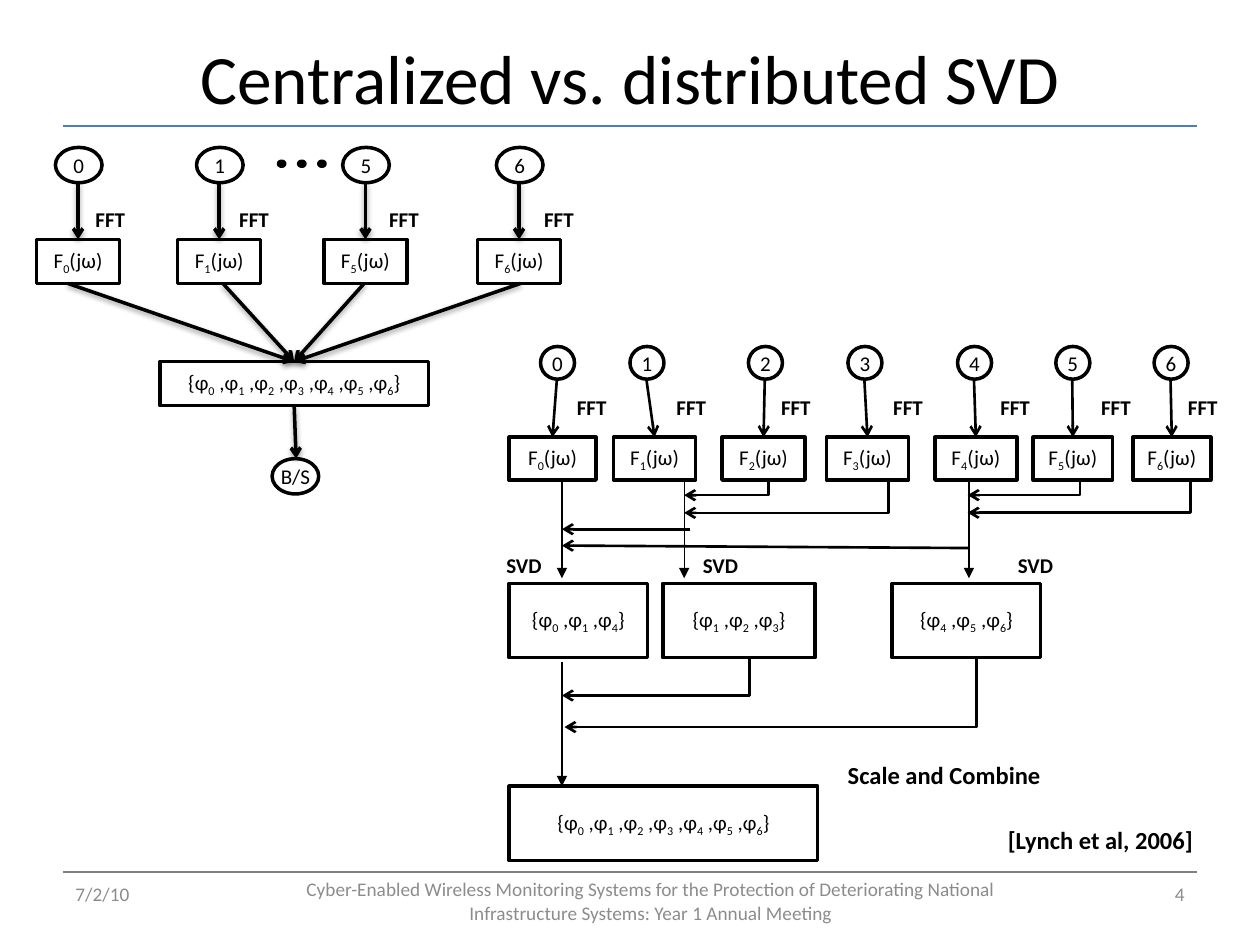
from dataclasses import dataclass
from lxml import etree
from pptx import Presentation
from pptx.dml.color import RGBColor
from pptx.enum import shapes, text
from pptx.oxml.ns import qn
from pptx.util import Inches, Pt


@dataclass(frozen=True)
class Theme:
    font: str = "Calibri"
    black: RGBColor = RGBColor(0, 0, 0)
    blue: RGBColor = RGBColor(0x4B, 0x7E, 0xBC)
    rule: RGBColor = RGBColor(0x80, 0x80, 0x80)
    grey: RGBColor = RGBColor(0x8C, 0x8C, 0x8C)
    title: float = 39.6
    note: float = 14
    body: float = 12
    footer: float = 11


T = Theme()
CENTER, LEFT, RIGHT = text.PP_ALIGN.CENTER, text.PP_ALIGN.LEFT, text.PP_ALIGN.RIGHT
MIDDLE, TOP = text.MSO_ANCHOR.MIDDLE, text.MSO_ANCHOR.TOP
OVAL, RECT = shapes.MSO_SHAPE.OVAL, shapes.MSO_SHAPE.RECTANGLE

prs = Presentation()
prs.slide_width, prs.slide_height = Inches(10), Inches(7.5)
s = prs.slides.add_slide(prs.slide_layouts[6])


def add_box(kind, x, y, w, h, words="", size=T.body, color=T.black, bold=False,
            align=CENTER, anchor=MIDDLE):
    """Add a shape, or a text box if kind is None; "_" lowers the next character."""
    box = [Inches(v) for v in (x, y, w, h)]
    if kind is None:
        sp = s.shapes.add_textbox(*box)
    else:
        sp = s.shapes.add_shape(kind, *box)
        sp.shadow.inherit = False
        sp.fill.background()
        sp.line.color.rgb = T.black
        sp.line.width = Pt(2)
    tf = sp.text_frame
    tf.word_wrap = True
    tf.vertical_anchor = anchor
    if kind == OVAL:
        tf.margin_left = tf.margin_right = tf.margin_top = tf.margin_bottom = 0
    p = tf.paragraphs[0]
    p.alignment = align
    first, *rest = words.split("_")
    pieces = [(first, False)]
    for part in rest:
        pieces += [(part[0], True), (part[1:], False)]
    for piece, lowered in pieces:
        if not piece:
            continue
        r = p.add_run()
        r.text = piece
        r.font.name, r.font.size, r.font.bold = T.font, Pt(size), bold
        r.font.color.rgb = color
        if lowered:
            r.font._element.set("baseline", "-25000")
    return sp


def add_line(x1, y1, x2, y2, width, head=None, color=T.black, shadow=False, bent=False):
    """Add a line; a bent one runs down from its start, then left to its end."""
    kind = shapes.MSO_CONNECTOR.STRAIGHT
    ends = (x1, y1, x2, y2)
    if bent:
        kind = shapes.MSO_CONNECTOR.ELBOW
        cx, cy = (x1 + x2) / 2, (y1 + y2) / 2
        half_w, half_h = (y2 - y1) / 2, (x1 - x2) / 2
        ends = (cx - half_w, cy - half_h, cx + half_w, cy + half_h)
    line = s.shapes.add_connector(kind, *[Inches(v) for v in ends])
    line.line.color.rgb = color
    line.line.width = Pt(width)
    props = line.element.spPr
    if bent:
        props.find(qn("a:xfrm")).set("rot", "5400000")
        props.find(qn("a:prstGeom")).set("prst", "bentConnector2")
    if head:
        etree.SubElement(props.find(qn("a:ln")), qn("a:tailEnd"), type=head)
    if not shadow:
        etree.SubElement(props, qn("a:effectLst"))
    return line


# Title, rules and footer
add_line(0.5, 1, 9.5, 1, 0.75, color=T.blue)
add_line(0.5, 6.92, 9.5, 6.92, 0.75, color=T.rule)
add_box(None, 0.5, 0.3, 9, 0.62, "Centralized vs. distributed SVD", T.title)
add_box(None, 0.5, 6.95, 1.42, 0.4, "7/2/10", T.footer, T.grey, align=LEFT, anchor=TOP)
add_box(None, 8.42, 6.95, 1.08, 0.4, "4", T.footer, T.grey, align=RIGHT, anchor=TOP)
add_box(None, 2, 6.95, 6.33, 0.4,
        "Cyber-Enabled Wireless Monitoring Systems for the Protection of "
        "Deteriorating National Infrastructure Systems: Year 1 Annual Meeting",
        T.footer, T.grey)

ALL_MODES = "{" + " ,".join(f"φ_{n}" for n in range(7)) + "}"

# Centralized: every node sends its spectrum to one SVD
central = add_box(RECT, 1.27, 2.87, 2.13, 0.35, ALL_MODES)
for node, x, fft_x, fan_x in [(0, 0.44, 0.66, 0.54), (1, 1.56, 1.8, 1.77),
                              (5, 2.72, 2.99, 2.89), (6, 3.94, 4.22, 4.13)]:
    add_box(OVAL, x, 1.17, 0.37, 0.28, str(node))
    spectrum = add_box(RECT, x - 0.15, 1.9, 0.66, 0.35, f"F_{node}(jω)")
    arrow = add_line(x + 0.18, 1.45, x + 0.18, 1.9, 2, "arrow", shadow=True)
    arrow.end_connect(spectrum, 0)
    arrow = add_line(fan_x, 2.25, 2.35, 2.87, 2, "arrow", shadow=True)
    arrow.end_connect(central, 0)
    add_box(None, fft_x, 1.59, 0.53, 0.3, "FFT", bold=True, align=LEFT, anchor=TOP)
for i in range(3):
    dot = add_box(OVAL, 2.21 + 0.16 * i, 1.28, 0.05, 0.04)
    dot.fill.solid()
    dot.fill.fore_color.rgb = T.black
add_box(OVAL, 2.16, 3.64, 0.37, 0.28, "B/S")
arrow = add_line(2.35, 3.21, 2.35, 3.64, 2, "arrow", shadow=True)
arrow.begin_connect(central, 2)

# Distributed: node x, box x, box width, FFT label x
nodes = [(4.29, 4.04, 0.69, 4.48), (5, 4.87, 0.65, 5.27), (5.94, 5.73, 0.66, 6.1),
         (6.73, 6.56, 0.65, 6.99), (7.6, 7.42, 0.65, 7.84), (8.38, 8.2, 0.63, 8.64),
         (9.16, 8.99, 0.62, 9.33)]
for node, (x, box_x, box_w, fft_x) in enumerate(nodes):
    add_box(OVAL, x, 2.75, 0.27, 0.26, str(node))
    spectrum = add_box(RECT, box_x, 3.47, box_w, 0.34, f"F_{node}(jω)")
    arrow = add_line(x + 0.13, 3.01, x + 0.13, 3.47, 1.5, "arrow")
    arrow.end_connect(spectrum, 0)
    add_box(None, fft_x, 3.08, 0.45, 0.3, "FFT", bold=True, align=LEFT, anchor=TOP)

# Local SVDs: box x, width, modes, label x, x of the arrow coming in
for x, w, modes, label_x, in_x in [(4.04, 1.1, (0, 1, 4), 3.92, 4.46),
                                   (5.26, 1.21, (1, 2, 3), 5.48, 5.43),
                                   (7.08, 1.18, (4, 5, 6), 7.98, 7.69)]:
    add_box(RECT, x, 4.63, w, 0.59, "{" + " ,".join(f"φ_{n}" for n in modes) + "}")
    add_box(None, label_x, 4.34, 0.54, 0.3, "SVD", bold=True, align=LEFT, anchor=TOP)
    add_line(in_x, 3.8, in_x, 4.59, 0.75, "triangle")

# Data exchanged between nodes, then merged results
for ends in [(6.1, 3.82, 5.43, 3.93), (7.05, 3.82, 5.43, 4.07),
             (8.57, 3.8, 7.68, 3.93), (9.45, 3.8, 7.68, 4.07),
             (5.95, 5.22, 4.46, 5.52), (7.75, 5.22, 4.48, 5.77)]:
    add_line(*ends, 1.5, "arrow", bent=True)
add_line(5.48, 4.2, 4.46, 4.2, 1.5, "arrow")
add_line(7.69, 4.35, 4.46, 4.33, 1.5, "arrow")
add_line(4.46, 5.25, 4.46, 6.24, 0.75, "triangle")
add_box(RECT, 4.04, 6.24, 2.45, 0.59, ALL_MODES)

for x, y, words in [(6.63, 5.98, "Scale and Combine"), (7.9, 6.5, "[Lynch et al, 2006]")]:
    add_box(None, x, y, 2.1, 0.34, words, T.note, bold=True, align=LEFT, anchor=TOP)

prs.save("out.pptx")
